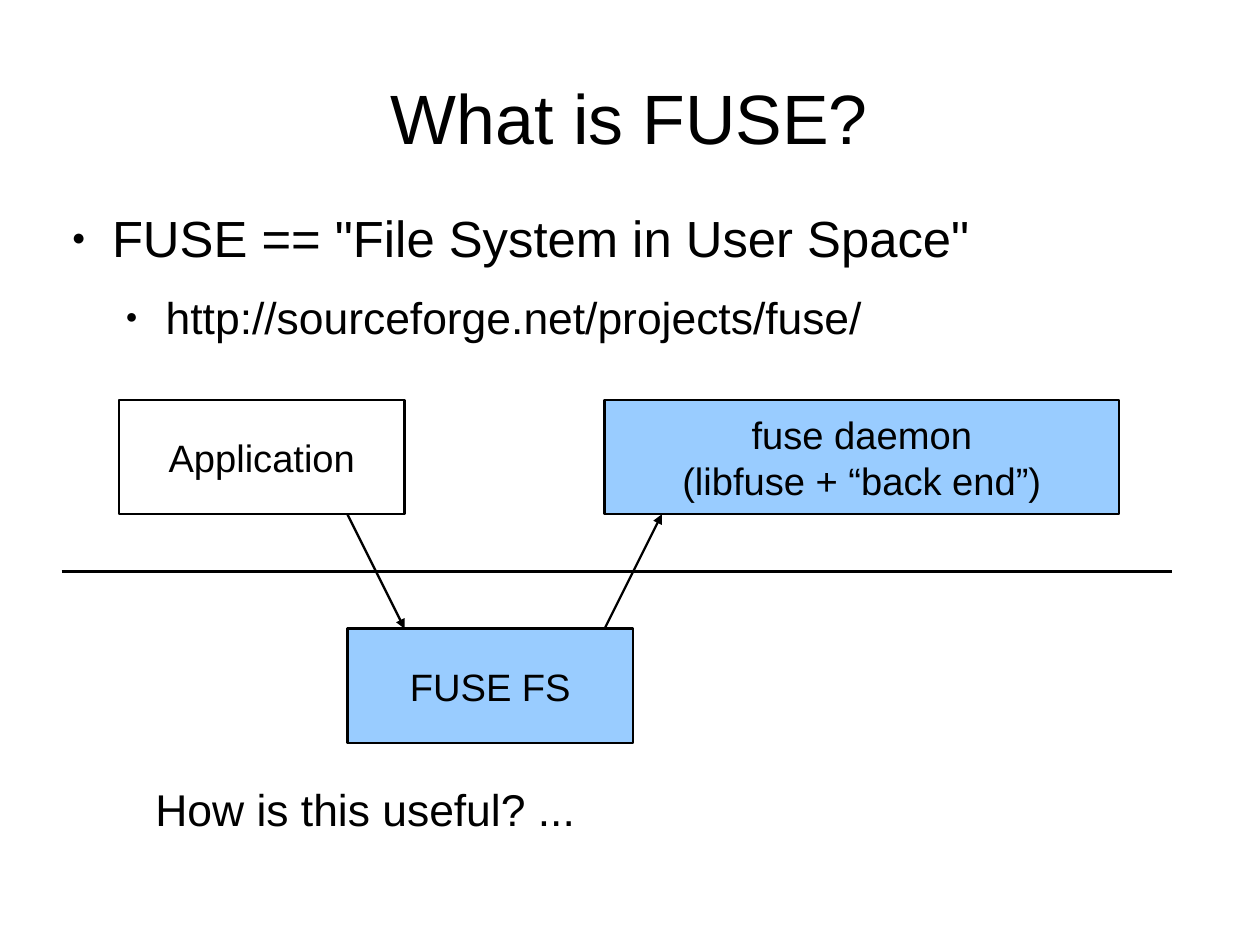
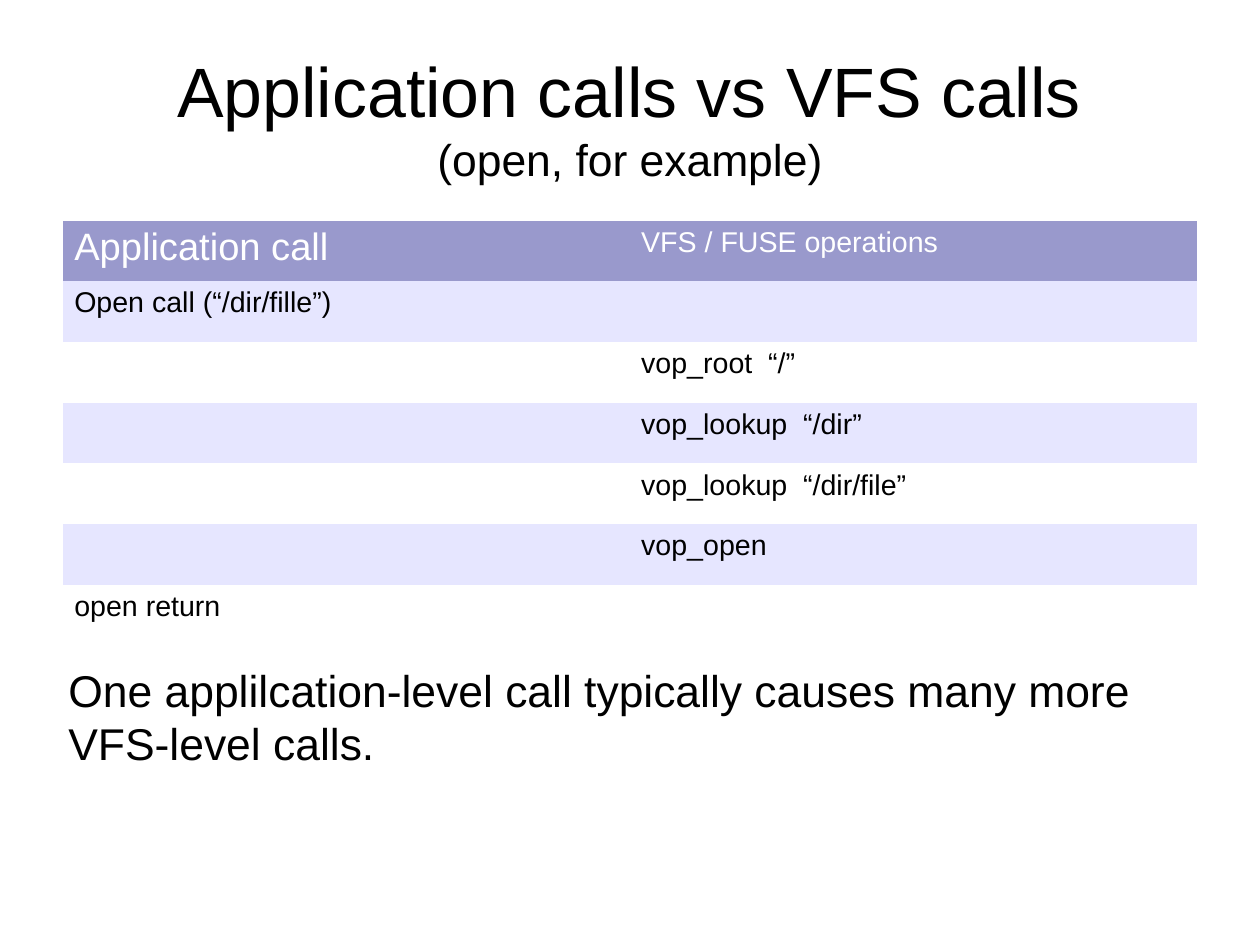
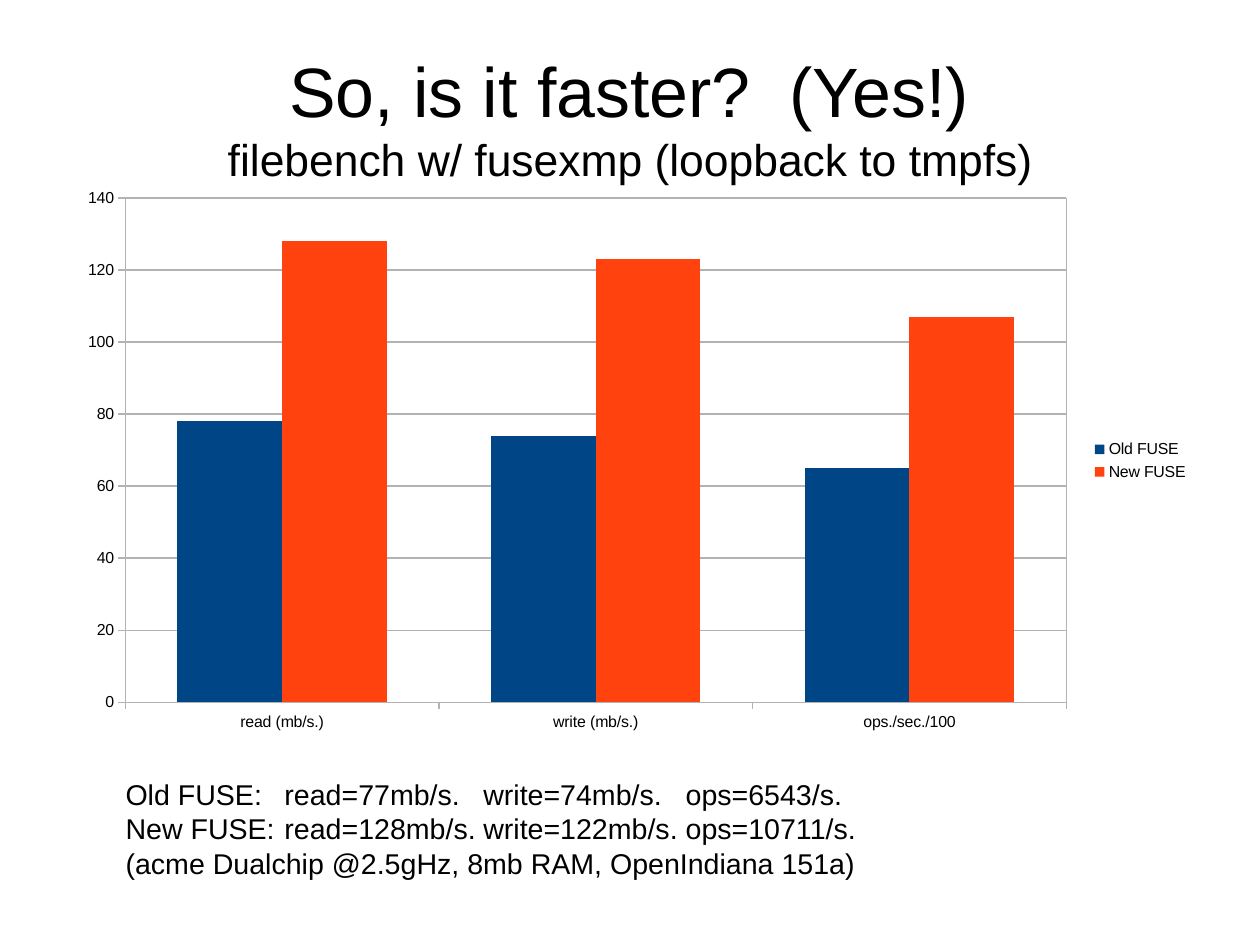
import pptx
import pptx.chart.data
import pptx.dml.color
import pptx.enum.chart
import pptx.enum.shapes
import pptx.enum.text
import pptx.oxml
import pptx.oxml.ns
import pptx.util

RGB = pptx.dml.color.RGBColor
BLACK = RGB(0x00, 0x00, 0x00)
WHITE = RGB(0xFF, 0xFF, 0xFF)
SKY = RGB(0x99, 0xCC, 0xFF)
VIOLET = RGB(0x99, 0x99, 0xCC)
LILAC = RGB(0xE6, 0xE6, 0xFF)
NAVY = RGB(0x00, 0x45, 0x86)
ORANGE = RGB(0xFF, 0x42, 0x0E)
GREY = RGB(0xB3, 0xB3, 0xB3)

FONT = "Arial"
CELL = pptx.util.Inches(0.5)
EDGE = 1.1
WIDE = 19.84
STROKE = pptx.util.Pt(1.45)
CENTER = pptx.enum.text.PP_ALIGN.CENTER
TOP = pptx.enum.text.MSO_ANCHOR.TOP
MIDDLE = pptx.enum.text.MSO_ANCHOR.MIDDLE
NS = pptx.oxml.ns.nsdecls("a", "c")


def grid(*cells):
    """Turn grid columns and rows into lengths."""
    return [round(n * CELL) for n in cells]


def write(frame, *lines, sizes=(18,), color=BLACK, align=None, anchor=TOP,
          pad=(0.1, 0.05), split=False):
    """Fill a frame with lines, parted by breaks or, if split, into paragraphs.

    The last size serves all later lines.
    """
    frame.word_wrap = True
    frame.vertical_anchor = anchor
    frame.margin_left = frame.margin_right = pptx.util.Inches(pad[0])
    frame.margin_top = frame.margin_bottom = pptx.util.Inches(pad[1])
    par = frame.paragraphs[0]
    for i, line in enumerate(lines):
        if i and split:
            par = frame.add_paragraph()
        elif i:
            par.add_line_break()
        par.alignment = align
        run = par.add_run()
        run.text = line
        run.font.name = FONT
        run.font.size = pptx.util.Pt(sizes[min(i, len(sizes) - 1)])
        run.font.color.rgb = color


deck = pptx.Presentation()
deck.slide_width = pptx.util.Cm(28)
deck.slide_height = pptx.util.Cm(21)
deck.element.sldSz.attrib.pop("type", None)

# Slides and titles
titles = [
    ["What is FUSE?"],
    ["Application calls vs VFS calls", "(open, for example)"],
    ["So, is it faster?  (Yes!)", "filebench w/ fusexmp (loopback to tmpfs)"],
]
pages = []
for lines in titles:
    page = deck.slides.add_slide(deck.slide_layouts[6]).shapes
    title = page.add_textbox(*grid(EDGE, 0.66, WIDE, 2.76))
    write(title.text_frame, *lines, sizes=(44, 28), align=CENTER, anchor=MIDDLE, pad=(0, 0))
    pages.append(page)
intro, calls, speed = pages

# What is FUSE: bullets
body = intro.add_textbox(*grid(1, 3.6, WIDE, 11.44)).text_frame
write(body, 'FUSE == "File System in User Space"', "http://sourceforge.net/projects/fuse/",
      sizes=(32, 28), pad=(0.01, 0.01), split=True)
for level, (par, after) in enumerate(zip(body.paragraphs, (14.1, 11.3))):
    par.level = level
    par.space_after = pptx.util.Pt(after)
    props = par._p.get_or_add_pPr()
    props.set("marL", str(pptx.util.Inches(0.47 * (level + 1))))
    props.set("indent", str(pptx.util.Inches(-0.35)))
    for mark in ('<a:buSzPct {} val="45000"/>', '<a:buFont {} typeface="Arial"/>',
                 '<a:buChar {} char="●"/>'):
        props.append(pptx.oxml.parse_xml(mark.format(NS)))

# What is FUSE: user space above the line, kernel below
LEFT = 1.08
boxes = [
    (1, 7, 5, None, ["Application"]),
    (9.5, 7, 9, SKY, ["fuse daemon", "(libfuse + “back end”)"]),
    (5, 11, 5, SKY, ["FUSE FS"]),
]
for col, row, span, fill, lines in boxes:
    box = intro.add_shape(pptx.enum.shapes.MSO_SHAPE.RECTANGLE, *grid(LEFT + col, row, span, 2))
    box.shadow.inherit = False
    if fill:
        box.fill.solid()
        box.fill.fore_color.rgb = fill
    else:
        box.fill.background()
    box.line.color.rgb = BLACK
    box.line.width = STROKE
    write(box.text_frame, *lines, sizes=(24,), align=CENTER, anchor=MIDDLE, pad=(0.11, 0.06))

for x1, y1, x2, y2, arrow in [(0, 10, 19.42, 10, False), (5, 9, 6, 11, True), (9.5, 11, 10.5, 9, True)]:
    line = intro.add_connector(pptx.enum.shapes.MSO_CONNECTOR.STRAIGHT,
                               *grid(LEFT + x1, y1, LEFT + x2, y2))
    line.line.color.rgb = BLACK
    line.line.width = STROKE
    if arrow:
        line.line._get_or_add_ln().append(pptx.oxml.parse_xml(f'<a:tailEnd {NS} type="triangle"/>'))
    line._element.spPr.append(pptx.oxml.parse_xml(f"<a:effectLst {NS}/>"))

ask = intro.add_textbox(*grid(2.5, 13.56, 16.5, 1.1))
write(ask.text_frame, "How is this useful? ...", sizes=(28,), pad=(0.11, 0.06))

# Application calls vs VFS calls
rows = [
    ("Application call", "VFS / FUSE operations"),
    ("Open call (“/dir/fille”)", ""),
    ("", "vop_root  “/”"),
    ("", "vop_lookup  “/dir”"),
    ("", "vop_lookup  “/dir/file”"),
    ("", "vop_open"),
    ("open return", ""),
]
table = calls.add_table(len(rows), 2, *grid(EDGE, 3.86, WIDE, 7.44)).table
style = table._tbl.tblPr.find(pptx.oxml.ns.qn("a:tableStyleId"))
style.text = "{2D5ABB26-0587-4C30-8999-92F81FD0307C}"
for r, row in enumerate(rows):
    for c, text in enumerate(row):
        cell = table.cell(r, c)
        cell.fill.solid()
        cell.fill.fore_color.rgb = VIOLET if r == 0 else LILAC if r % 2 else WHITE
        if text:
            write(cell.text_frame, text, sizes=(24 if r == c == 0 else 18,),
                  color=BLACK if r else WHITE)

note = calls.add_textbox(*grid(1, 11.5, 19.5, 1.94))
write(note.text_frame, "One applilcation-level call typically causes many more VFS-level calls.",
      sizes=(28,))

# So, is it faster
data = pptx.chart.data.CategoryChartData()
data.categories = ["read (mb/s.)", "write (mb/s.)", "ops./sec./100"]
data.add_series("Old FUSE", (78, 74, 65))
data.add_series("New FUSE", (128, 123, 107))
chart = speed.add_chart(pptx.enum.chart.XL_CHART_TYPE.COLUMN_CLUSTERED,
                        *grid(1.16, 3.12, WIDE, 9.88), data).chart
chart.font.name = FONT
chart.font.size = pptx.util.Pt(10)
chart.font.color.rgb = BLACK
chart.has_title = False
chart.has_legend = True
chart.legend.position = pptx.enum.chart.XL_LEGEND_POSITION.RIGHT
chart.legend.include_in_layout = False

plot = chart.plots[0]
plot.gap_width = 100
plot.overlap = 0
plot.vary_by_categories = False
for bar, color in zip(plot.series, (NAVY, ORANGE)):
    bar.format.fill.solid()
    bar.format.fill.fore_color.rgb = color

scale = chart.value_axis
scale.minimum_scale, scale.maximum_scale, scale.major_unit = 0, 140, 20
for part in (scale, chart.category_axis, scale.major_gridlines):
    part.format.line.color.rgb = GREY
    part.format.line.width = pptx.util.Pt(0)
for axis in (scale, chart.category_axis):
    axis.major_tick_mark = pptx.enum.chart.XL_TICK_MARK.OUTSIDE

area = chart._chartSpace.chart.plotArea
for old in area.findall(pptx.oxml.ns.qn("c:layout")):
    area.remove(old)
shares = "".join(f'<c:{side} val="{share / 100}"/>'
                 for side, share in zip("xywh", (5.2, 3.5, 83, 89.3)))
area.insert(0, pptx.oxml.parse_xml(
    f'<c:layout {NS}><c:manualLayout><c:layoutTarget val="inner"/>'
    f'<c:xMode val="edge"/><c:yMode val="edge"/>{shares}</c:manualLayout></c:layout>'))
area.append(pptx.oxml.parse_xml(
    f'<c:spPr {NS}><a:noFill/><a:ln w="0"><a:solidFill><a:srgbClr val="{GREY}"/>'
    '</a:solidFill></a:ln></c:spPr>'))

facts = speed.add_textbox(*grid(2, 13.5, 16.5, 1.88)).text_frame
write(facts, "Old FUSE:\tread=77mb/s.\twrite=74mb/s.\tops=6543/s.",
      "New FUSE:\tread=128mb/s.\twrite=122mb/s.\tops=10711/s.",
      "(acme Dualchip @2.5gHz, 8mb RAM, OpenIndiana 151a)")
stops = "".join(f'<a:tab pos="{pos}" algn="l"/>' for pos in grid(2.78, 6.26, 9.8))
facts.paragraphs[0]._p.get_or_add_pPr().append(
    pptx.oxml.parse_xml(f"<a:tabLst {NS}>{stops}</a:tabLst>"))

deck.save("out.pptx")
